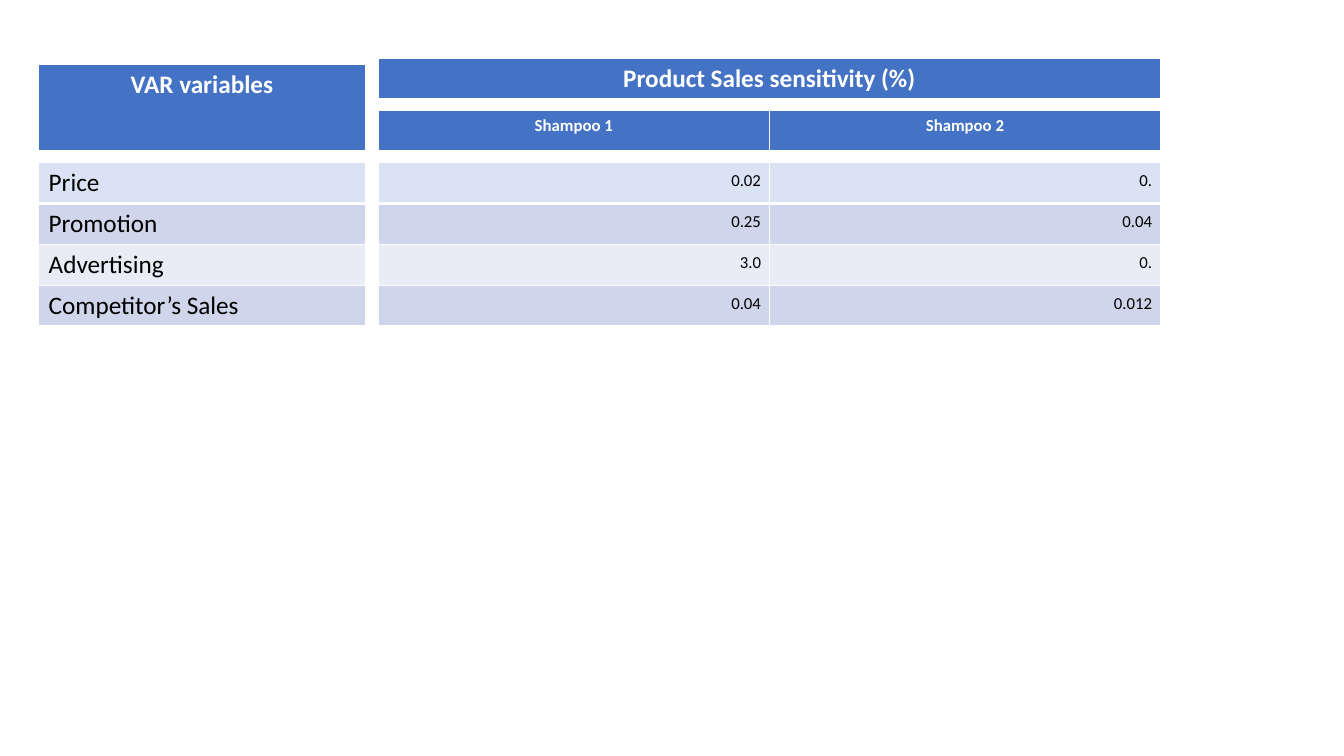
from lxml.etree import SubElement
from pptx import Presentation
from pptx.dml.color import RGBColor
from pptx.enum.text import PP_ALIGN
from pptx.oxml.ns import qn
from pptx.util import Pt

HEADER_BLUE = "4472C4"
ROW_FILLS = ["DAE3F3", "CFD5EA", "E9EBF5", "CFD5EA"]
WHITE = "FFFFFF"
BLACK = "000000"

LABEL_LEFT, LABEL_WIDTH = 27.6, 233.4
VALUE_LEFT, VALUE_WIDTH = 270.2, 558.8
ROW_HEIGHT = 29.2
BODY_TOP = 116.1

LABELS = [["Price"], ["Promotion"], ["Advertising"], ["Competitor’s Sales"]]
SENSITIVITIES = [["0.02", "0."], ["0.25", "0.04"], ["3.0", "0."], ["0.04", "0.012"]]


def color(hex_string):
    return RGBColor.from_string(hex_string)


def set_borders(cell, bottom_width):
    """Draw white cell borders, with a bottom edge of its own width."""
    properties = cell._tc.get_or_add_tcPr()
    widths = {"a:lnL": 1, "a:lnR": 1, "a:lnT": 1, "a:lnB": bottom_width}
    for position, (tag, width) in enumerate(widths.items()):
        line = SubElement(properties, qn(tag), w=str(Pt(width)))
        fill = SubElement(line, qn("a:solidFill"))
        SubElement(fill, qn("a:srgbClr"), val=WHITE)
        properties.insert(position, line)


def format_cell(cell, text, fill, size, align, ink, bold, margin):
    cell.fill.solid()
    cell.fill.fore_color.rgb = color(fill)
    if margin is not None:
        cell.margin_left = cell.margin_right = Pt(margin)
        cell.margin_top = cell.margin_bottom = Pt(margin)
    cell.text_frame.text = text
    para = cell.text_frame.paragraphs[0]
    para.alignment = align
    font = para.runs[0].font
    font.name = "Calibri"
    font.size = Pt(size)
    font.bold = bold
    font.color.rgb = color(ink)


def add_grid(page, left, top, width, row_height, rows, fills, size, align,
             ink=BLACK, bold=False, margin=None):
    """Add a table of equal cells whose first row has a thick lower edge."""
    columns = len(rows[0])
    table = page.shapes.add_table(len(rows), columns, Pt(left), Pt(top), Pt(width),
                                  Pt(row_height * len(rows))).table
    for column in table.columns:
        column.width = Pt(width / columns)
    for r, (texts, fill) in enumerate(zip(rows, fills)):
        table.rows[r].height = Pt(row_height)
        for c, text in enumerate(texts):
            cell = table.cell(r, c)
            format_cell(cell, text, fill, size, align, ink, bold, margin)
            set_borders(cell, 3 if r == 0 else 1)


def add_header(page, left, top, width, height, texts, size):
    add_grid(page, left, top, width, height, [texts], [HEADER_BLUE], size,
             PP_ALIGN.CENTER, ink=WHITE, bold=True)


def main():
    deck = Presentation()
    deck.slide_width, deck.slide_height = Pt(960), Pt(540)
    page = deck.slides.add_slide(deck.slide_layouts[6])

    add_grid(page, LABEL_LEFT, BODY_TOP, LABEL_WIDTH, ROW_HEIGHT, LABELS, ROW_FILLS,
             18, PP_ALIGN.LEFT)
    add_grid(page, VALUE_LEFT, BODY_TOP, VALUE_WIDTH, ROW_HEIGHT, SENSITIVITIES, ROW_FILLS,
             12, PP_ALIGN.RIGHT, margin=6)
    add_header(page, VALUE_LEFT, 79, VALUE_WIDTH, ROW_HEIGHT, ["Shampoo 1", "Shampoo 2"], 12)
    add_header(page, VALUE_LEFT, 41.8, VALUE_WIDTH, ROW_HEIGHT,
               ["Product Sales sensitivity (%)"], 18)
    add_header(page, LABEL_LEFT, 46, LABEL_WIDTH, 62.4, ["VAR variables"], 18)

    deck.save("out.pptx")


if __name__ == "__main__":
    main()
